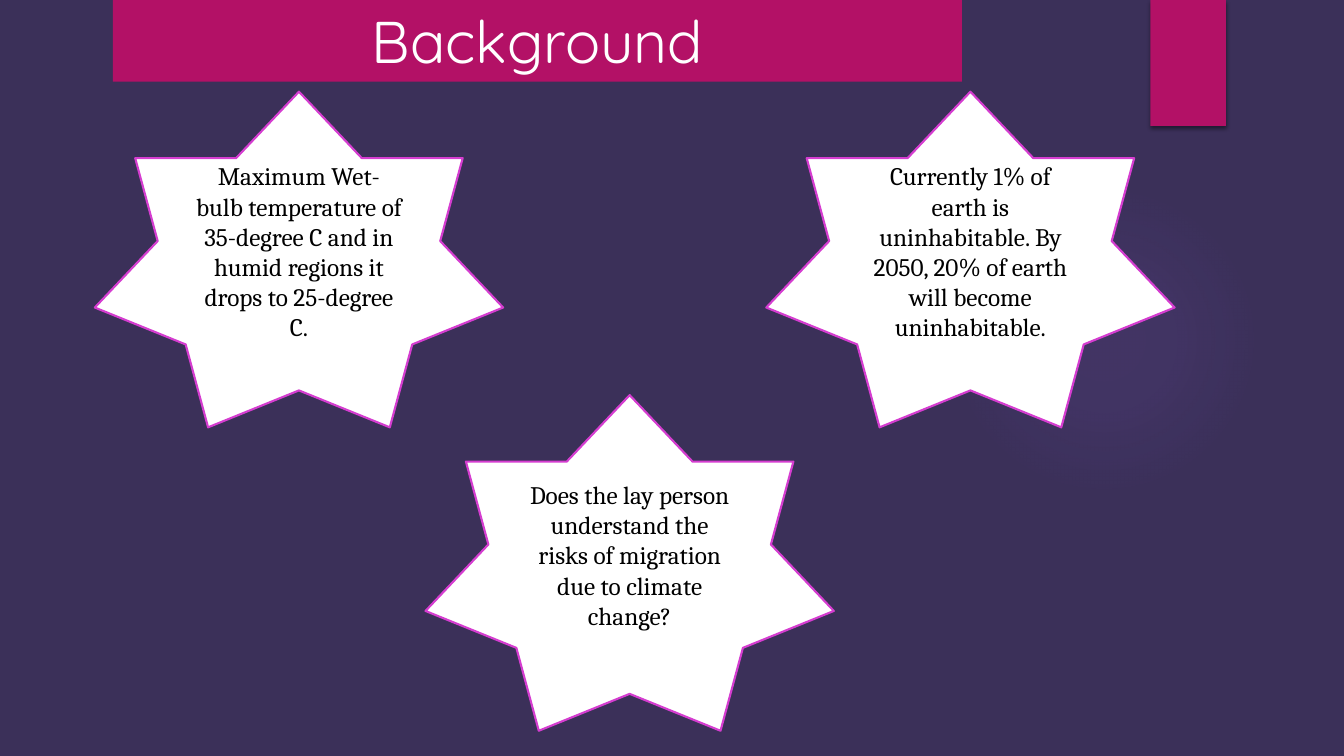
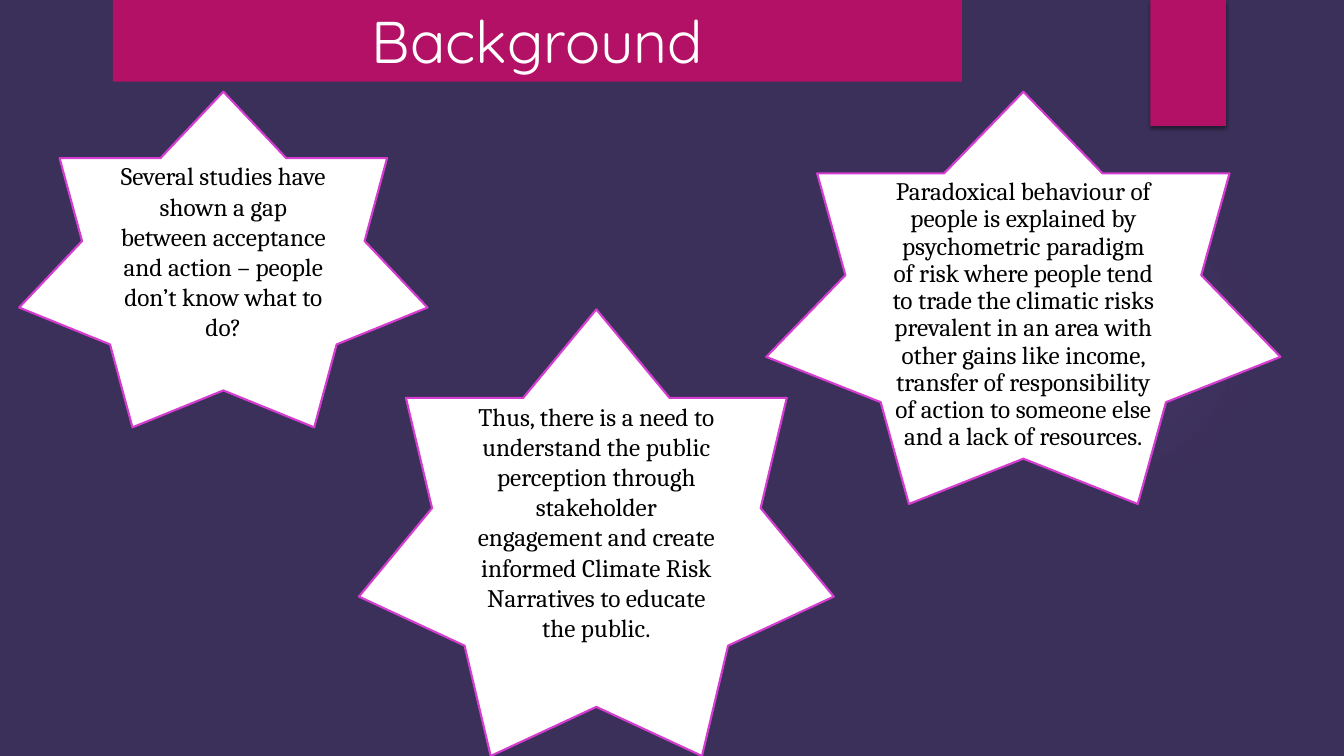
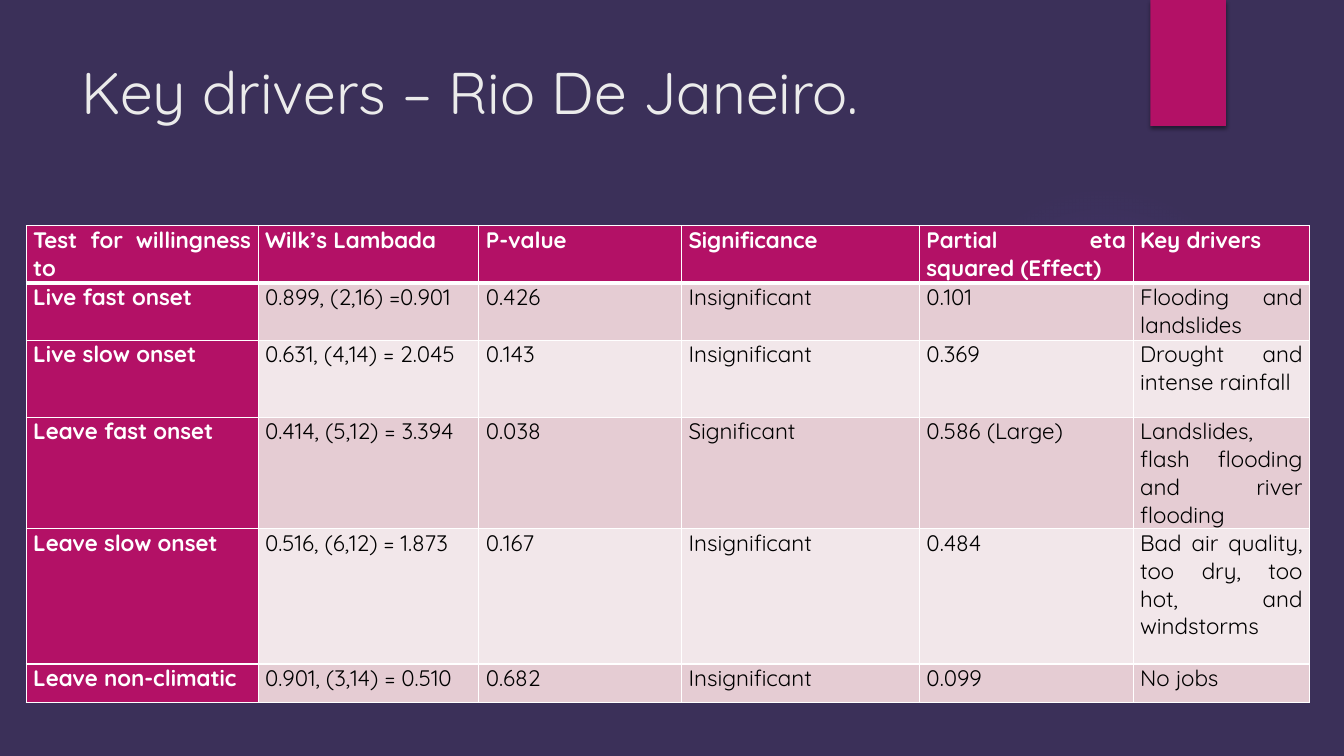
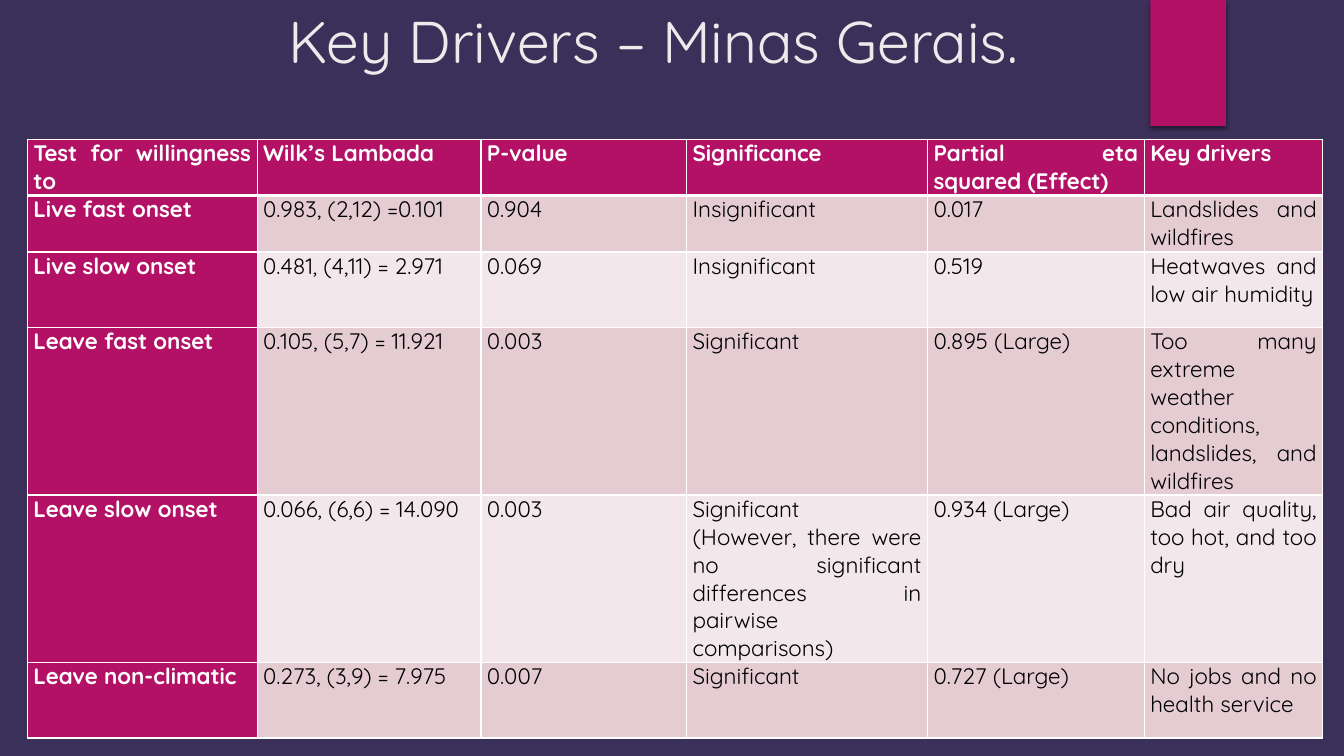
from lxml.etree import fromstring
from pptx import Presentation
from pptx.dml.color import RGBColor
from pptx.enum.shapes import MSO_SHAPE
from pptx.enum.text import MSO_ANCHOR, MSO_AUTO_SIZE, PP_ALIGN
from pptx.oxml.ns import nsdecls
from pptx.util import Inches, Pt

COLORS = {
    "night": "3B3059",
    "magenta": "B31166",
    "glow": "9B6BF2",
    "outline": "D53DD0",
    "white": "FFFFFF",
    "mist": "EBEBEB",
    "black": "000000",
    "band_dark": "E5CCD3",
    "band_light": "F2E7EA",
}
HEADERS = ["Test for willingness to", "Wilk’s Lambada", "P-value", "Significance",
           "Partial eta squared (Effect)", "Key drivers"]
TESTS = ["Live fast onset", "Live slow onset", "Leave fast onset",
         "Leave slow onset", "Leave non-climatic"]
RIO_RESULTS = [
    ["0.899, (2,16) =0.901", "0.426", "Insignificant", "0.101", "Flooding and landslides"],
    ["0.631, (4,14) = 2.045", "0.143", "Insignificant", "0.369", "Drought and intense rainfall"],
    ["0.414, (5,12) = 3.394", "0.038", "Significant", "0.586 (Large)",
     "Landslides, flash flooding and river flooding"],
    ["0.516, (6,12) = 1.873", "0.167", "Insignificant", "0.484",
     "Bad air quality, too dry, too hot, and windstorms"],
    ["0.901, (3,14) = 0.510", "0.682", "Insignificant", "0.099", "No jobs"],
]
MINAS_RESULTS = [
    ["0.983, (2,12) =0.101", "0.904", "Insignificant", "0.017", "Landslides and wildfires"],
    ["0.481, (4,11) = 2.971", "0.069", "Insignificant", "0.519",
     "Heatwaves and low air humidity"],
    ["0.105, (5,7) = 11.921", "0.003", "Significant", "0.895 (Large)",
     "Too many extreme weather conditions, landslides, and wildfires"],
    ["0.066, (6,6) = 14.090", "0.003",
     "Significant\n(However, there were no significant differences in pairwise comparisons)",
     "0.934 (Large)", "Bad air quality, too hot, and too dry"],
    ["0.273, (3,9) = 7.975", "0.007", "Significant", "0.727 (Large)",
     "No jobs and no health service"],
]


def color(name):
    return RGBColor.from_string(COLORS[name])


def paint(item, name):
    item.fill.solid()
    item.fill.fore_color.rgb = color(name)


def write(frame, text, font="Quicksand", size=16, ink="black", bold=False,
          align=PP_ALIGN.LEFT, spacing=1.0):
    frame.word_wrap = True
    for index, line in enumerate(text.split("\n")):
        para = frame.add_paragraph() if index else frame.paragraphs[0]
        para.alignment = align
        para.line_spacing = spacing
        span = para.add_run()
        span.text = line
        span.font.name = font
        span.font.size = Pt(size)
        span.font.bold = bold
        span.font.color.rgb = color(ink)


def place(item, left, top, width, height):
    item.left, item.top = Inches(left), Inches(top)
    item.width, item.height = Inches(width), Inches(height)


def add_plain_shape(page, kind, left, top, width, height):
    shape = page.shapes.add_shape(kind, Inches(left), Inches(top), Inches(width), Inches(height))
    shape.shadow.inherit = False
    shape.line.fill.background()
    return shape


def add_glow(page):
    glow = add_plain_shape(page, MSO_SHAPE.OVAL, 9.41, 1.83, 3.08, 3.08)
    glow.fill.background()
    stops = "".join(
        f'<a:gs pos="{place_at * 1000}"><a:srgbClr val="{COLORS["glow"]}">'
        f'<a:alpha val="{alpha * 1000}"/></a:srgbClr></a:gs>'
        for place_at, alpha in [(0, 7), (36, 6), (69, 0), (100, 0)])
    gradient = fromstring(
        f'<a:gradFill {nsdecls("a")}><a:gsLst>{stops}</a:gsLst><a:path path="circle">'
        '<a:fillToRect l="50000" t="50000" r="50000" b="50000"/></a:path></a:gradFill>')
    properties = glow.element.spPr
    properties.replace(properties.find("{*}noFill"), gradient)
    return glow


def add_ribbon(page):
    ribbon = add_plain_shape(page, MSO_SHAPE.RECTANGLE, 11.41, 0, 0.75, 1.25)
    paint(ribbon, "magenta")
    shadow = fromstring(
        f'<a:outerShdw {nsdecls("a")} blurRad="{Pt(3)}" dist="{Pt(2)}" dir="5400000">'
        f'<a:srgbClr val="{COLORS["black"]}"><a:alpha val="45000"/></a:srgbClr></a:outerShdw>')
    ribbon.element.spPr.find("{*}effectLst").append(shadow)
    return ribbon


def decorate_layout(layout, page):
    paint(layout.background, "night")
    for index, shape in enumerate([add_glow(page), add_ribbon(page)]):
        layout.shapes.element.insert(2 + index, shape.element)


def set_title(page, text, area, ink="mist", align=PP_ALIGN.LEFT, anchor=MSO_ANCHOR.TOP):
    title = page.shapes.title
    place(title, *area)
    title.text_frame.auto_size = MSO_AUTO_SIZE.NONE
    title.text_frame.vertical_anchor = anchor
    write(title.text_frame, text, size=42, ink=ink, align=align)
    return title


def add_star(page, text, left, top, width=4.05, height=3.33, spacing=1.0, inset=0.05):
    star = add_plain_shape(page, MSO_SHAPE.STAR_7_POINT, left, top, width, height)
    paint(star, "white")
    star.line.color.rgb = color("outline")
    star.line.width = Pt(1.5)
    star.text_frame.vertical_anchor = MSO_ANCHOR.MIDDLE
    star.text_frame.margin_top = Inches(inset)
    write(star.text_frame, text, font="Cambria", size=18, align=PP_ALIGN.CENTER, spacing=spacing)


def set_borders(cell, top, bottom):
    properties = cell._tc.get_or_add_tcPr()
    for side, width in zip("LRTB", (1, 1, top, bottom)):
        properties.append(fromstring(
            f'<a:ln{side} {nsdecls("a")} w="{Pt(width)}"><a:solidFill>'
            f'<a:srgbClr val="{COLORS["white"]}"/></a:solidFill></a:ln{side}>'))


def add_results(page, left, top, widths, heights, results, inset):
    rows = [HEADERS] + [[test] + values for test, values in zip(TESTS, results)]
    table = page.shapes.add_table(len(rows), len(HEADERS), Inches(left), Inches(top),
                                  Inches(sum(widths)), Inches(sum(heights))).table
    for column, width in zip(table.columns, widths):
        column.width = Inches(width)
    for r, (values, height) in enumerate(zip(rows, heights)):
        table.rows[r].height = Inches(height)
        for c, value in enumerate(values):
            cell = table.cell(r, c)
            heading = r == 0 or c == 0
            band = "band_dark" if r % 2 else "band_light"
            set_borders(cell, top=3 if r == 1 else 1, bottom=3 if r == 0 else 1)
            paint(cell, "magenta" if heading else band)
            cell.margin_left = cell.margin_right = Inches(inset)
            cell.margin_top = cell.margin_bottom = 0
            write(cell.text_frame, value, ink="white" if heading else "black",
                  bold=heading, align=PP_ALIGN.JUSTIFY)


def add_background_page(page):
    title = set_title(page, "Background", (1.12, -0.01, 8.42, 0.82), ink="white",
                      align=PP_ALIGN.CENTER, anchor=MSO_ANCHOR.MIDDLE)
    paint(title, "magenta")


def main():
    deck = Presentation()
    deck.slide_width, deck.slide_height = Inches(13.33), Inches(7.5)
    layout = deck.slide_layouts[5]
    facts, gap, rio, minas = [deck.slides.add_slide(layout) for _ in range(4)]
    decorate_layout(layout, facts)

    add_background_page(facts)
    add_star(facts, "Maximum Wet-bulb temperature of 35-degree C and in humid regions "
             "it drops to 25-degree C.", 0.94, 0.91)
    add_star(facts, "Currently 1% of earth is uninhabitable. By 2050, 20% of earth "
             "will become uninhabitable.", 7.6, 0.91)
    add_star(facts, "Does the lay person understand the risks of migration due to "
             "climate change?", 4.22, 3.92)

    add_background_page(gap)
    add_star(gap, "Several studies have shown a gap between acceptance and action – "
             "people don’t know what to do?", 0.19, 0.91)
    add_star(gap, "Paradoxical behaviour of people is explained by psychometric paradigm "
             "of risk where people tend to trade the climatic risks prevalent in an area "
             "with other gains like income, transfer of responsibility of action to "
             "someone else and a lack of resources.",
             7.6, 0.91, 5.1, 4.09, spacing=0.9, inset=0.59)
    add_star(gap, "Thus, there is a need to understand the public perception through "
             "stakeholder engagement and create informed Climate Risk Narratives to "
             "educate the public.", 3.56, 3.07, 4.71, 4.43)

    set_title(rio, "Key drivers – Rio De Janeiro.", (0.71, 0.5, 10.29, 1.53))
    add_results(rio, 0.26, 2.24, [2.3, 2.19, 2.01, 2.36, 2.12, 1.75],
                [0.57, 0.57, 0.76, 0.96, 1.34, 0.38], RIO_RESULTS, inset=0.07)

    set_title(minas, "Key Drivers – Minas Gerais.", (2.76, 0, 9.42, 1.41))
    add_results(minas, 0.27, 1.38, [2.28, 2.22, 2.04, 2.39, 2.15, 1.77],
                [0.56, 0.56, 0.75, 1.51, 1.32, 0.75], MINAS_RESULTS, inset=0.06)

    deck.save("out.pptx")


if __name__ == "__main__":
    main()
